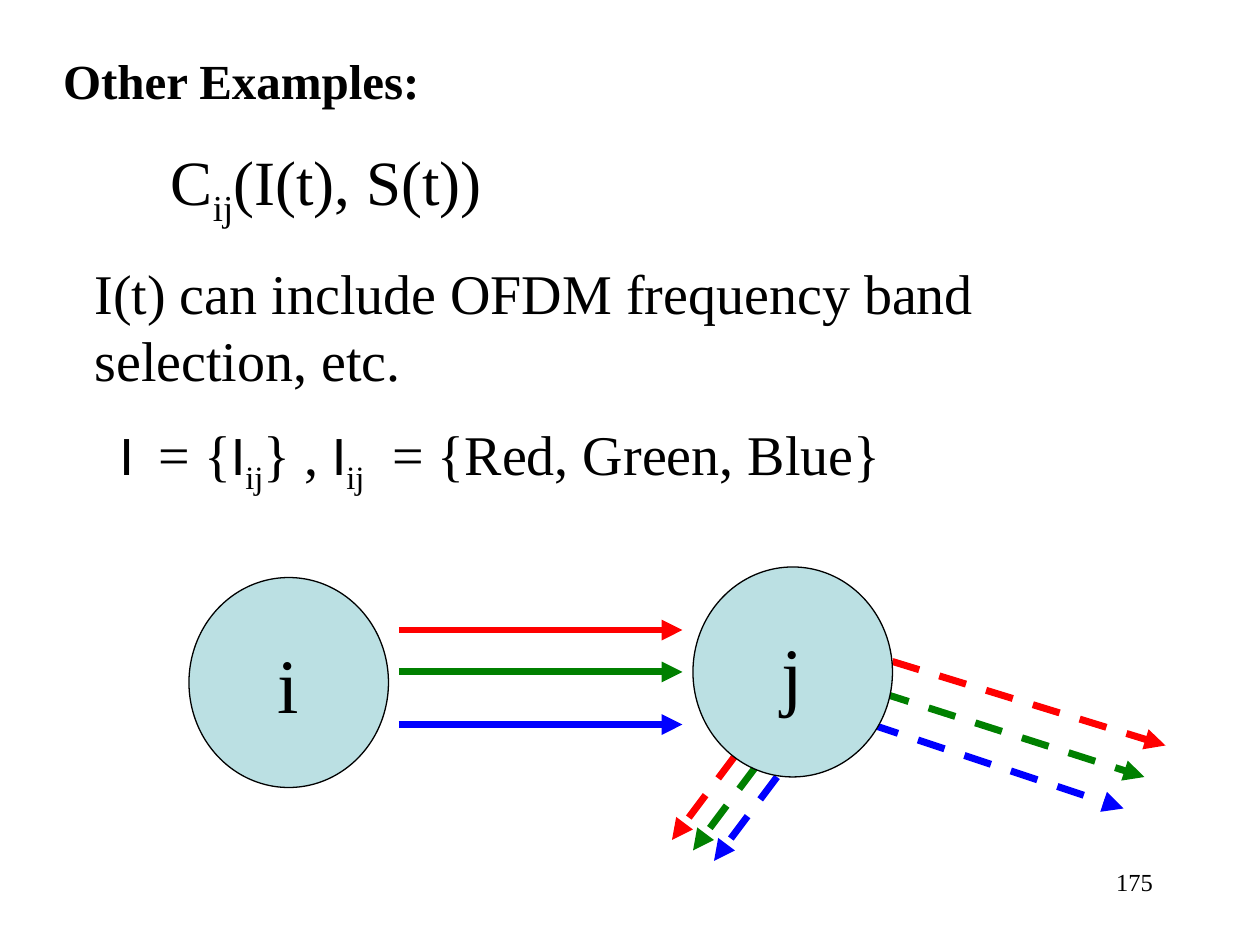
from lxml.etree import SubElement
from pptx import Presentation
from pptx.dml.color import RGBColor
from pptx.enum.dml import MSO_LINE
from pptx.enum.shapes import MSO_CONNECTOR, MSO_SHAPE
from pptx.enum.text import MSO_ANCHOR, MSO_AUTO_SIZE, PP_ALIGN
from pptx.oxml.ns import qn
from pptx.util import Inches, Pt

CELL = Inches(1) // 12  # the grid has 120 columns and 90 rows

BLACK = RGBColor(0x00, 0x00, 0x00)
NODE_FILL = RGBColor(0xBB, 0xE0, 0xE3)
RED = RGBColor(0xFF, 0x00, 0x00)
GREEN = RGBColor(0x00, 0x80, 0x00)
BLUE = RGBColor(0x00, 0x00, 0xFF)
BANDS = (RED, GREEN, BLUE)

SERIF, SANS = "Times New Roman", "Calibri"
NODE_SIZE = (19, 20)


def cells(*values):
    return [round(value * CELL) for value in values]


def set_all(target, values):
    for name, value in values.items():
        setattr(target, name, value)


def write(shape, paragraphs, size, align=PP_ALIGN.LEFT, bold=False, **frame_format):
    """Fill a shape; each run is (text, font, baseline percent, spacing in points)."""
    frame = shape.text_frame
    set_all(frame, {"word_wrap": False, "auto_size": MSO_AUTO_SIZE.NONE,
                    "vertical_anchor": MSO_ANCHOR.TOP, **frame_format})
    for index, runs in enumerate(paragraphs):
        paragraph = frame.add_paragraph() if index else frame.paragraphs[0]
        set_all(paragraph, {"alignment": align, "space_before": Pt(0)})
        properties = paragraph._p.get_or_add_pPr()
        properties.set("marL", "0")
        properties.set("indent", "0")
        SubElement(properties, qn("a:buNone"))
        for text, font, baseline, spacing in runs:
            run = paragraph.add_run()
            run.text = text
            set_all(run.font, {"name": font, "size": Pt(size), "bold": bold})
            run.font.color.rgb = BLACK
            run_properties = run._r.get_or_add_rPr()
            if baseline:
                run_properties.set("baseline", str(baseline * 1000))
            if spacing:
                run_properties.set("spc", str(spacing * 100))


def plain(text, font=SERIF):
    return (text, font, 0, 0)


def subscript(text):
    return (text, SERIF, -25, 0)


def wide_space(font, spacing):
    return (" ", font, 0, spacing)


def place(shape, box):
    set_all(shape, dict(zip(("left", "top", "width", "height"), cells(*box))))
    return shape


def add_text(slide, box, paragraphs, size, **text_format):
    text_box = slide.shapes.add_textbox(*cells(*box))
    write(text_box, paragraphs, size, **text_format)


def add_statements(slide, left, top):
    """Place the heading, capacity formula, explanation and band set."""
    title, body = slide.placeholders
    write(place(title, (left, top, 36.4, 6.8)), [[plain("Other Examples:")]], 28, bold=True)
    add_text(slide, (left + 10.3, top + 8.8, 31.9, 9.5),
             [[plain("C"), subscript("ij"), plain("(I(t), S(t))")]], 36)
    write(place(body, (left + 3, top + 19.8, 87.5, 14)),
          [[plain("I(t) can include OFDM frequency band")],
           [plain("selection, etc.")]], 32)
    add_text(slide, (left + 5.4, top + 35.2, 76.7, 8.5),
             [[plain("I", SANS), wide_space(SANS, 7), plain("= {"),
               plain("I", SANS), subscript("ij"), plain("} , "),
               plain("I", SANS), subscript("ij"), wide_space(SERIF, 8),
               plain("= {Red, Green, Blue}")]], 32)


def add_node(slide, label, left, top):
    node = slide.shapes.add_shape(MSO_SHAPE.OVAL, *cells(left, top, *NODE_SIZE))
    node.shadow.inherit = False
    node.fill.solid()
    node.fill.fore_color.rgb = NODE_FILL
    node.line.color.rgb = BLACK
    node.line.width = Pt(0.75)
    write(node, [[plain(label)]], 44, align=PP_ALIGN.CENTER,
          vertical_anchor=MSO_ANCHOR.MIDDLE)


def add_arrow(slide, start, end, color, dash=None):
    arrow = slide.shapes.add_connector(MSO_CONNECTOR.STRAIGHT, *cells(*start, *end))
    arrow.line.color.rgb = color
    set_all(arrow.line, {"width": Pt(4), "dash_style": dash})
    SubElement(arrow.line._get_or_add_ln(), qn("a:tailEnd"), type="triangle")
    SubElement(arrow._element.spPr, qn("a:effectLst"))


def add_network(slide, left, top):
    """Draw nodes i and j with one arrow per frequency band on every link."""
    add_node(slide, "i", left, top + 1)
    for row, color in zip((6, 10, 15), BANDS):
        add_arrow(slide, (left + 20, top + row), (left + 47, top + row), color)
    for band, color in enumerate(BANDS):
        add_arrow(slide, (left + 67 - band, top + 9 + 3 * band),
                  (left + 93 - 2 * band, top + 17 + 3 * band), color, MSO_LINE.DASH)
    for band, color in enumerate(BANDS):
        x, y = left + 2 * band, top + band
        add_arrow(slide, (x + 52, y + 18), (x + 46, y + 26), color, MSO_LINE.DASH)
    add_node(slide, "j", left + 48, top)


def main():
    presentation = Presentation()
    set_all(presentation, {"slide_width": Inches(10), "slide_height": Inches(7.5)})
    slide = presentation.slides.add_slide(presentation.slide_layouts[1])
    add_statements(slide, 4.8, 4.2)
    add_network(slide, 18, 54)
    add_text(slide, (86, 82, 25, 6), [[plain("175")]], 14,
             align=PP_ALIGN.RIGHT, word_wrap=True)
    presentation.save("out.pptx")


if __name__ == "__main__":
    main()
